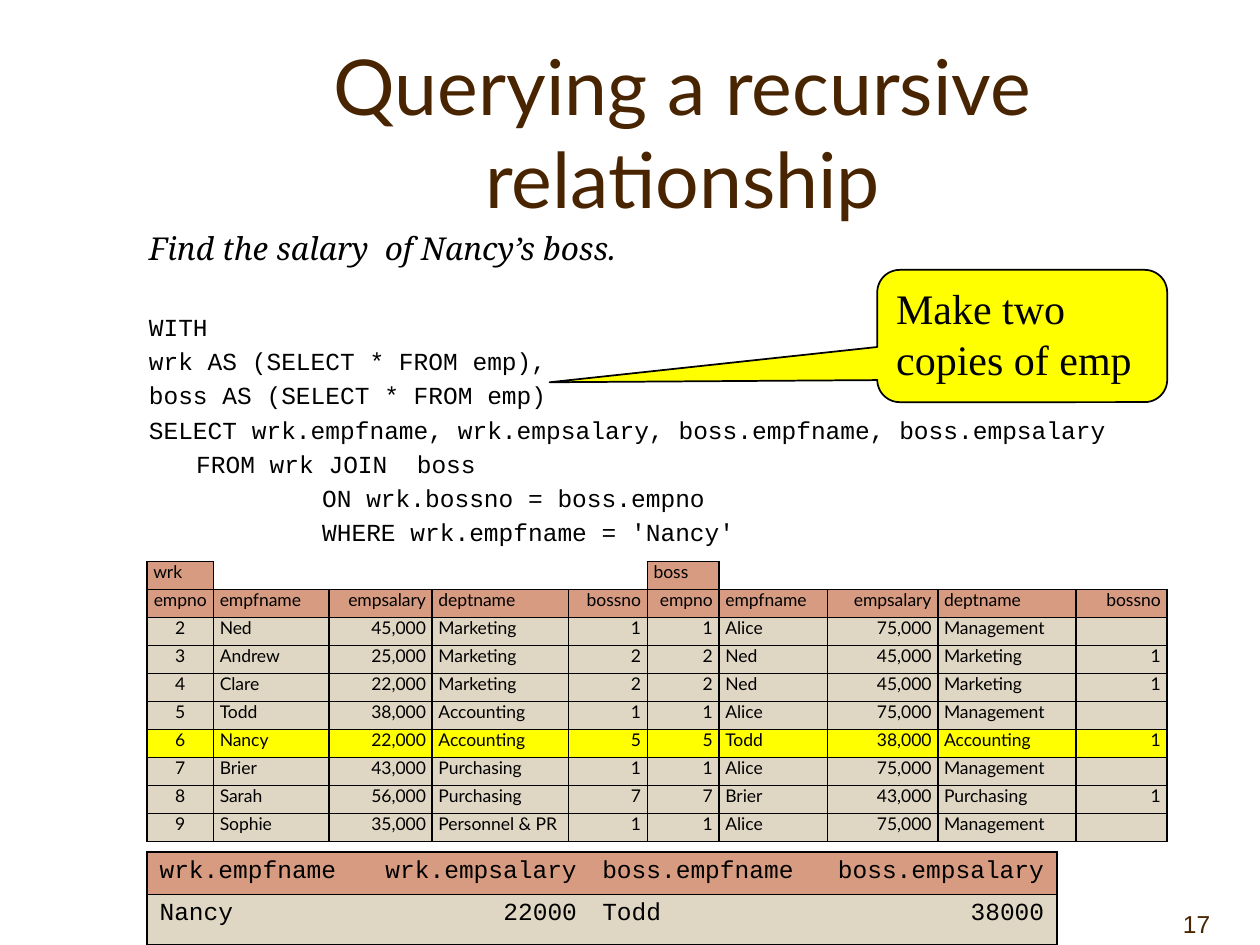
"""Build the slide on querying a recursive relationship."""
from lxml.etree import SubElement
from pptx import Presentation
from pptx.dml.color import RGBColor
from pptx.enum.shapes import MSO_SHAPE
from pptx.enum.text import MSO_ANCHOR, PP_ALIGN
from pptx.oxml.ns import qn
from pptx.util import Pt

BLACK = RGBColor(0x00, 0x00, 0x00)
BROWN = RGBColor(0x48, 0x24, 0x00)
YELLOW = RGBColor(0xFF, 0xFF, 0x00)
TERRACOTTA = RGBColor(0xD6, 0x9B, 0x80)
SAND = RGBColor(0xDF, 0xD6, 0xC3)

LEFT, CENTER, RIGHT = PP_ALIGN.LEFT, PP_ALIGN.CENTER, PP_ALIGN.RIGHT
TABLE_LEFT = 84

QUERY = [
    ("WITH", 0),
    ("wrk AS (SELECT * FROM emp),", 0),
    ("boss AS (SELECT * FROM emp)", 0),
    ("SELECT wrk.empfname, wrk.empsalary, boss.empfname, boss.empsalary", 0),
    ("FROM wrk JOIN  boss", 27),
    ("ON wrk.bossno = boss.empno", 99),
    ("WHERE wrk.empfname = 'Nancy'", 99),
]

EMPLOYEE_FIELDS = ["empno", "empfname", "empsalary", "deptname", "bossno"]
BOSSES = {
    "1": ["1", "Alice", "75,000", "Management", ""],
    "2": ["2", "Ned", "45,000", "Marketing", "1"],
    "5": ["5", "Todd", "38,000", "Accounting", "1"],
    "7": ["7", "Brier", "43,000", "Purchasing", "1"],
}
WORKERS = [
    ["2", "Ned", "45,000", "Marketing", "1"],
    ["3", "Andrew", "25,000", "Marketing", "2"],
    ["4", "Clare", "22,000", "Marketing", "2"],
    ["5", "Todd", "38,000", "Accounting", "1"],
    ["6", "Nancy", "22,000", "Accounting", "5"],
    ["7", "Brier", "43,000", "Purchasing", "1"],
    ["8", "Sarah", "56,000", "Purchasing", "7"],
    ["9", "Sophie", "35,000", "Personnel & PR", "1"],
]
JOIN_WIDTHS = [38, 66, 59, 7, 71, 45, 41, 62, 63, 14, 65, 52]
JOIN_ALIGNMENTS = [CENTER, LEFT, RIGHT, LEFT, RIGHT, RIGHT, LEFT, RIGHT, LEFT, RIGHT]
LABEL_SPANS = (2, 8)
FIELD_SPANS = (3, 9)

RESULT = [
    ["wrk.empfname", "wrk.empsalary", "boss.empfname", "boss.empsalary"],
    ["Nancy", "22000", "Todd", "38000"],
]
RESULT_WIDTHS = [120, 133, 125, 142]


def style_paragraph(paragraph, text, font, size, color=BLACK, align=LEFT):
    """Fill a paragraph with text in one font."""
    paragraph.text = text
    paragraph.alignment = align
    paragraph.font.name = font
    paragraph.font.size = Pt(size)
    paragraph.font.color.rgb = color


def add_text_box(page, left, top, width, height, anchor=MSO_ANCHOR.TOP):
    """Add a wrapping text box and return its text frame."""
    box = page.shapes.add_textbox(Pt(left), Pt(top), Pt(width), Pt(height))
    frame = box.text_frame
    frame.word_wrap = True
    frame.vertical_anchor = anchor
    return frame


def add_query(page):
    """Add the question and the SQL that answers it."""
    frame = add_text_box(page, 78, 127.5, 631, 332)
    question = frame.paragraphs[0]
    style_paragraph(question, "Find the salary  of Nancy\u2019s boss.", "Noto Serif", 18)
    question.font.italic = True
    for number, (line, indent) in enumerate(QUERY):
        paragraph = frame.add_paragraph()
        style_paragraph(paragraph, line, "Courier New", 14)
        paragraph.space_before = Pt(2.8 if number else 25.4)
        paragraph._p.get_or_add_pPr().set("marL", str(Pt(indent)))


def add_grid(page, top, widths, heights):
    """Add a table without banding."""
    frame = page.shapes.add_table(
        len(heights), len(widths), Pt(TABLE_LEFT), Pt(top), Pt(sum(widths)), Pt(sum(heights))
    )
    table = frame.table
    table.first_row = table.horz_banding = False
    for column, width in zip(table.columns, widths):
        column.width = Pt(width)
    for row, height in zip(table.rows, heights):
        row.height = Pt(height)
    return table


def set_borders(cell, sides):
    """Draw the named sides of a cell in black and hide the others."""
    properties = cell._tc.get_or_add_tcPr()
    for side in "LRTB":
        line = SubElement(properties, qn(f"a:ln{side}"), w=str(Pt(1)))
        if side in sides:
            fill = SubElement(line, qn("a:solidFill"))
            SubElement(fill, qn("a:srgbClr"), val=str(BLACK))
        else:
            SubElement(line, qn("a:noFill"))


def fill_cell(cell, text, font, size, align, color, sides):
    """Set the text, borders and fill of a cell."""
    paragraph = cell.text_frame.paragraphs[0]
    style_paragraph(paragraph, text, font, size, align=align)
    if not text:
        SubElement(paragraph._p, qn("a:endParaRPr"), sz=str(size * 100))
    set_borders(cell, sides)
    if color is None:
        cell.fill.background()
    else:
        cell.fill.solid()
        cell.fill.fore_color.rgb = color


def add_join_row(table, row_number, values, spans):
    """Fill one row of the join, merging two columns at each span."""
    column = 0
    for position, text in enumerate(values):
        color, sides, align = SAND, "LRTB", JOIN_ALIGNMENTS[position]
        if row_number < 2:
            color = TERRACOTTA
        elif values[1] == "Nancy":
            color = YELLOW
        if row_number == 0:
            align = LEFT
            if not text:
                color, sides = None, "B"
                sides += "L" if values[position - 1] else ""
                sides += "R" if any(values[position + 1:position + 2]) else ""
        width = 2 if column in spans else 1
        for offset in range(width):
            cell = table.cell(row_number, column + offset)
            cell.margin_left = cell.margin_right = Pt(3.6)
            cell.margin_top = cell.margin_bottom = Pt(0)
            if offset:
                text, sides = "", sides.replace("L", "")
            fill_cell(cell, text, "Lato", 10, align, color, sides)
        if width == 2:
            table.cell(row_number, column).merge(table.cell(row_number, column + 1))
        column += width


def add_join_table(page):
    """Add the workers joined with their bosses."""
    blanks = [""] * 4
    rows = [["wrk", *blanks, "boss", *blanks], EMPLOYEE_FIELDS * 2]
    rows += [worker + BOSSES[worker[-1]] for worker in WORKERS]
    table = add_grid(page, 321, JOIN_WIDTHS, [16] * len(rows))
    for row_number, values in enumerate(rows):
        add_join_row(table, row_number, values, FIELD_SPANS if row_number else LABEL_SPANS)


def add_result_table(page):
    """Add the result of the query."""
    table = add_grid(page, 487, RESULT_WIDTHS, [24, 29])
    for row_number, (values, color) in enumerate(zip(RESULT, [TERRACOTTA, SAND])):
        for column, text in enumerate(values):
            sides = "TB" + {0: "L", len(values) - 1: "R"}.get(column, "")
            align = RIGHT if column % 2 else LEFT
            cell = table.cell(row_number, column)
            fill_cell(cell, text, "Courier New", 14, align, color, sides)


def add_callout(page):
    """Add the callout that points at the two copies."""
    callout = page.shapes.add_shape(
        MSO_SHAPE.ROUNDED_RECTANGULAR_CALLOUT, Pt(501.3), Pt(154.2), Pt(165.7), Pt(75.6)
    )
    for number, value in enumerate([-1.63, 0.35, 0.17]):
        callout.adjustments[number] = value
    callout.shadow.inherit = False
    callout.fill.solid()
    callout.fill.fore_color.rgb = YELLOW
    callout.line.color.rgb = BLACK
    callout.line.width = Pt(1)
    frame = callout.text_frame
    frame.word_wrap = True
    frame.vertical_anchor = MSO_ANCHOR.TOP
    style_paragraph(frame.paragraphs[0], "Make two copies of emp", "Times New Roman", 24)


def main():
    """Build and save the deck."""
    deck = Presentation()
    deck.slide_width, deck.slide_height = Pt(720), Pt(540)
    page = deck.slides.add_slide(deck.slide_layouts[6])
    number = add_text_box(page, 648, 504, 72, 36, MSO_ANCHOR.BOTTOM)
    number.margin_right = Pt(28.4)
    style_paragraph(number.paragraphs[0], "17", "Arial", 14, BROWN, RIGHT)
    title = add_text_box(page, 84.2, 30, 612, 90, MSO_ANCHOR.MIDDLE)
    style_paragraph(
        title.paragraphs[0], "Querying a recursive relationship", "Lato", 44, BROWN, CENTER
    )
    add_query(page)
    add_result_table(page)
    add_join_table(page)
    add_callout(page)
    deck.save("out.pptx")


main()
